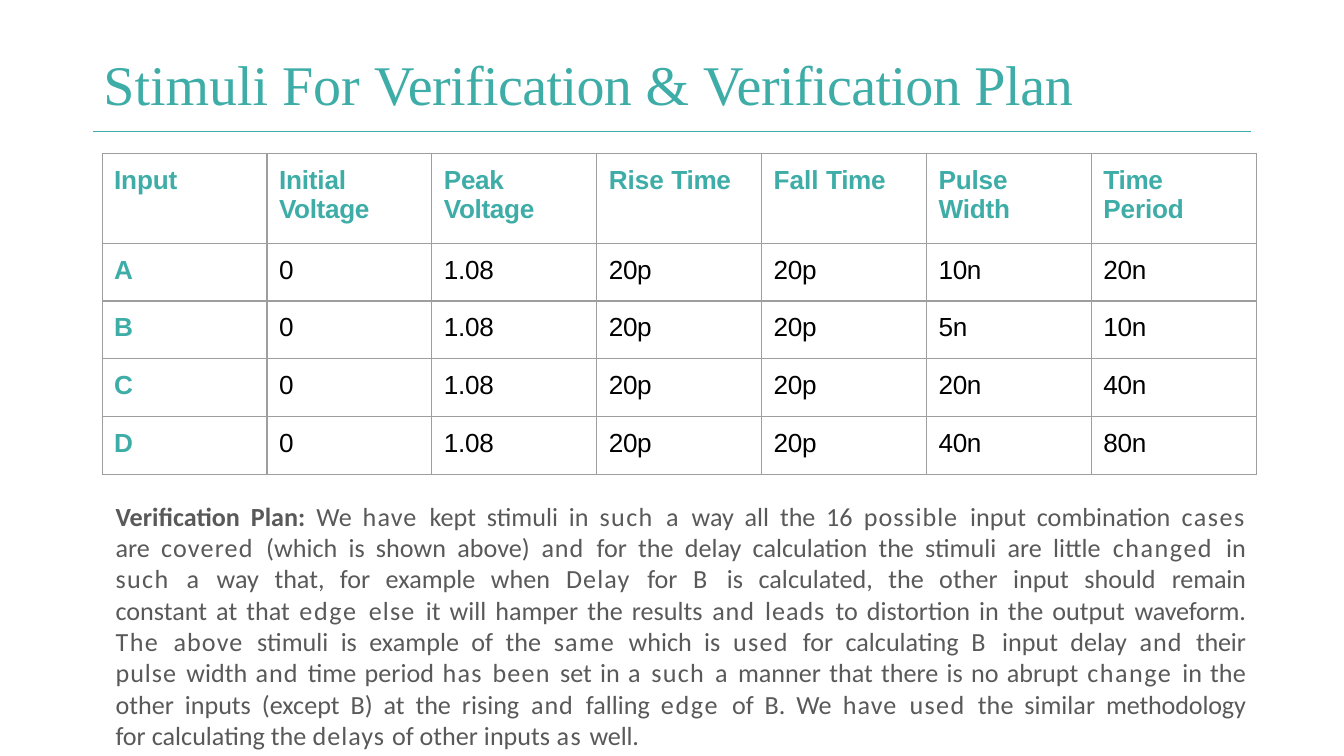
from itertools import groupby
from lxml.etree import SubElement as Sub
from pptx import Presentation
from pptx.dml.color import RGBColor
from pptx.enum.shapes import MSO_CONNECTOR as Link
from pptx.enum.text import MSO_ANCHOR as Anchor, MSO_AUTO_SIZE as Fit, PP_ALIGN as Align
from pptx.oxml.ns import qn
from pptx.util import Inches, Pt

TEAL = RGBColor(0x3E, 0xAD, 0xA7)
RULE = RGBColor(0x3D, 0xAB, 0xA7)
GRAY = RGBColor(0x59, 0x59, 0x59)
BLACK = RGBColor(0, 0, 0)
EDGE = "9E9E9E"

TITLE = "Stimuli For Verification & Verification Plan"
HEAD = ["Input", "Initial Voltage", "Peak Voltage", "Rise Time",
        "Fall Time", "Pulse Width", "Time Period"]
COMMON = ["0", "1.08", "20p", "20p"]
PULSES = [("A", "10n", "20n"), ("B", "5n", "10n"),
          ("C", "20n", "40n"), ("D", "40n", "80n")]
ROWS = [HEAD] + [[name, *COMMON, width, period] for name, width, period in PULSES]
LEAD = "Veriﬁcation Plan: "
PLAN = [
    "We have kept stimuli in such a way all the 16 possible input combination cases",
    "are covered (which is shown above) and for the delay calculation the stimuli are "
    "little changed in",
    "such a way that, for example when Delay for B is calculated, the other input "
    "should remain",
    "constant at that edge else it will hamper the results and leads to distortion in "
    "the output waveform.",
    "The above stimuli is example of the same which is used for calculating B input "
    "delay and their",
    "pulse width and time period has been set in a such a manner that there is no "
    "abrupt change in the",
    "other inputs (except B) at the rising and falling edge of B. We have used the "
    "similar methodology",
    "for calculating the delays of other inputs as well.",
]


def track(table):
    return {word: gap for gap, words in table.items() for word in words.split()}


TITLE_GAPS = track({-0.3: "Verification", -0.2: "Plan"})
CELL_GAPS = track({
    -0.5: "A B C D 0", -0.2: "Voltage Peak Time 1.08 20p 5n 10n 20n 40n 80n",
    -0.1: "Input Initial Pulse Width Period",
})
PLAN_GAPS = track({
    1.1: "B", 0.9: "edge", 0.8: "cases changed change The as",
    0.7: "such used has", 0.6: "have a covered Delay else above same been",
    0.5: "possible and leads pulse delays",
    -0.1: "remain waveform. their methodology well.",
})


def write(para, text, size=14, face="Arial", color=BLACK, bold=False, gaps={}):
    words = text.replace(" ", " \n").split("\n")
    for gap, group in groupby(words, lambda word: gaps.get(word.strip(), 0)):
        run = para.add_run()
        run.text = "".join(group)
        font = run.font
        font.size, font.name, font.bold = Pt(size), face, bold
        font.color.rgb = color
        if gap:
            font._element.set("spc", str(round(gap * 100)))


def pad(frame, left=0, top=0, right=0, bottom=0):
    frame.margin_left, frame.margin_top = Inches(left), Inches(top)
    frame.margin_right, frame.margin_bottom = Inches(right), Inches(bottom)


def border(cell):
    props = cell._tc.get_or_add_tcPr()
    for side in ("lnL", "lnR", "lnT", "lnB"):
        line = Sub(props, qn(f"a:{side}"), w=str(Pt(0.75)))
        Sub(Sub(line, qn("a:solidFill")), qn("a:srgbClr"), val=EDGE)


def place(shape, left, top, width, height):
    shape.left, shape.top = Inches(left), Inches(top)
    shape.width, shape.height = Inches(width), Inches(height)
    frame = shape.text_frame
    frame.word_wrap, frame.auto_size = True, Fit.SHAPE_TO_FIT_TEXT
    frame.vertical_anchor = Anchor.TOP
    pad(frame, left=0.02, top=0.01)
    return frame.paragraphs[0]


def main():
    deck = Presentation()
    deck.slide_width = Inches(10)
    deck.slide_height = deck.slide_width * 9 // 16
    slide = deck.slides.add_slide(deck.slide_layouts[5])

    rule = slide.shapes.add_connector(
        Link.STRAIGHT, Inches(0.69), Inches(0.98), Inches(9.31), Inches(0.98))
    rule.line.color.rgb, rule.line.width = RULE, Pt(0.75)
    Sub(rule._element.spPr, qn("a:effectLst"))

    para = place(slide.shapes.title, 0.75, 0.36, 7.34, 0.53)
    para.alignment = Align.LEFT
    write(para, TITLE, size=30, face="Times New Roman", color=TEAL, gaps=TITLE_GAPS)

    wide, tall, first = Inches(8.59) // len(HEAD), 0.43, 0.67
    holder = slide.shapes.add_table(
        len(ROWS), len(HEAD), Inches(0.76), Inches(1.14), Inches(8.68),
        Inches(first + tall * len(PULSES)))
    table = holder.table
    table.first_row = table.horz_banding = False
    for col in table.columns:
        col.width = wide
    for r, row in enumerate(ROWS):
        table.rows[r].height = Inches(tall if r else first)
        for c, text in enumerate(row):
            cell = table.cell(r, c)
            border(cell)
            cell.fill.background()
            pad(cell, left=0.09, top=0.09, right=0.09)
            key = r == 0 or c == 0
            write(cell.text_frame.paragraphs[0], text, bold=key,
                  color=TEAL if key else BLACK, gaps=CELL_GAPS)
    holder.width = Inches(8.68)

    box = slide.shapes.add_textbox(0, 0, 0, 0)
    para = place(box, 0.84, 3.71, 8.43, 1.89)
    para.alignment = Align.JUSTIFY
    style = dict(face="Calibri", color=GRAY)
    write(para, LEAD, bold=True, **style)
    for n, line in enumerate(PLAN):
        if n:
            para.add_line_break()
        write(para, line, gaps=PLAN_GAPS, **style)

    deck.save("out.pptx")


if __name__ == "__main__":
    main()
